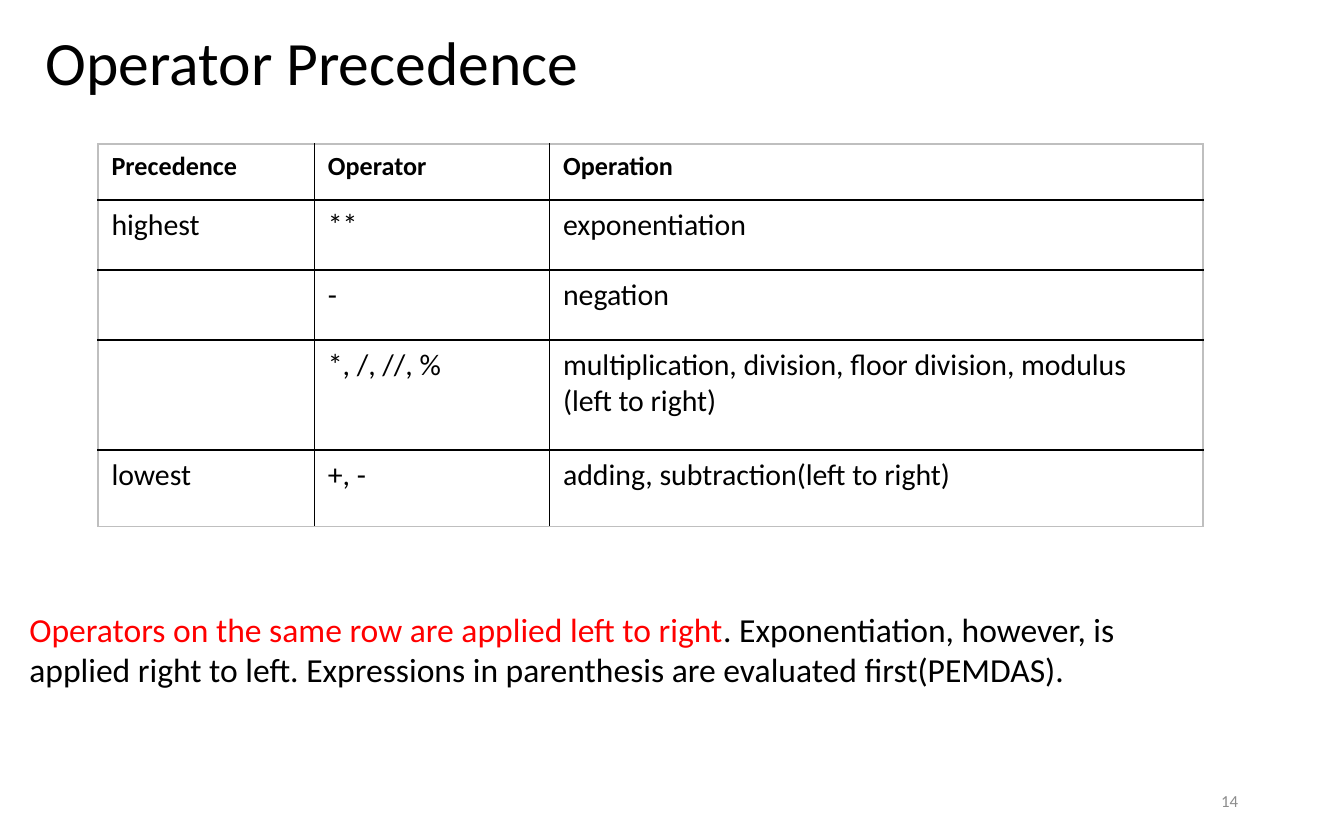
from lxml import etree
from pptx import Presentation
from pptx.dml.color import RGBColor
from pptx.enum import text
from pptx.oxml import ns
from pptx.util import Inches, Pt

WIDTH, HEIGHT = Inches(10), Inches(6.25)
COLUMNS, ROWS = 100, 62.5
COLORS = {"ink": "000000", "paper": "FFFFFF", "accent": "FF0000", "muted": "8C8C8C", "frame": "BFBFBF"}
FONT = "Calibri"
COLUMN_WIDTHS = [16.1, 17.5, 48.6]
ROW_HEIGHTS = [4.2, 5.2, 5.2, 8.2, 5.7]
PRECEDENCE = [
    ["Precedence", "Operator", "Operation"],
    ["highest", "**", "exponentiation"],
    ["", "-", "negation"],
    ["", "*, /, //, %", "multiplication, division, floor division, modulus\n(left to right)"],
    ["lowest", "+, -", "adding, subtraction(left to right)"],
]
RULE = [
    [("Operators on the same row are applied left to right", "accent"), (". Exponentiation, however, is", "ink")],
    [("applied right to left. Expressions in parenthesis are evaluated first(PEMDAS).", "ink")],
]


def across(columns):
    return round(WIDTH * columns / COLUMNS)


def down(rows):
    return round(HEIGHT * rows / ROWS)


def place(box):
    left, top, width, height = box
    return across(left), down(top), across(width), down(height)


def apply(target, values):
    for name, value in values.items():
        setattr(target, name, value)


def write(frame, paragraphs, size, bold=False, **layout):
    for index, spans in enumerate(paragraphs):
        para = frame.paragraphs[0] if index == 0 else frame.add_paragraph()
        apply(para, layout)
        for words, color in spans:
            span = para.add_run()
            span.text = words
            apply(span.font, {"name": FONT, "size": Pt(size), "bold": bold})
            span.font.color.rgb = RGBColor.from_string(COLORS[color])


def add_title(page, box):
    title = page.shapes.title
    apply(title, dict(zip(("left", "top", "width", "height"), place(box))))
    apply(title.text_frame, {"word_wrap": True, "vertical_anchor": text.MSO_ANCHOR.MIDDLE})
    write(title.text_frame, [[("Operator Precedence", "ink")]], 33,
          alignment=text.PP_ALIGN.LEFT, line_spacing=0.9)


def add_border(cell, side, color):
    line = etree.SubElement(cell._tc.get_or_add_tcPr(), ns.qn(f"a:ln{side}"), w=str(Pt(1)))
    fill = etree.SubElement(line, ns.qn("a:solidFill"))
    etree.SubElement(fill, ns.qn("a:srgbClr"), val=COLORS[color])


def add_precedence_table(page, box):
    table = page.shapes.add_table(len(ROW_HEIGHTS), len(COLUMN_WIDTHS), *place(box)).table
    apply(table, {"first_row": False, "horz_banding": False})
    for column, width in zip(table.columns, COLUMN_WIDTHS):
        column.width = across(width)
    last_row, last_column = len(ROW_HEIGHTS) - 1, len(COLUMN_WIDTHS) - 1
    for row, labels in enumerate(PRECEDENCE):
        table.rows[row].height = down(ROW_HEIGHTS[row])
        for column, label in enumerate(labels):
            cell = table.cell(row, column)
            outer = {"L": column == 0, "R": column == last_column, "T": row == 0, "B": row == last_row}
            for side, is_outer in outer.items():
                add_border(cell, side, "frame" if is_outer else "ink")
            cell.fill.solid()
            cell.fill.fore_color.rgb = RGBColor.from_string(COLORS["paper"])
            if label:
                lines = [[(line, "ink")] for line in label.split("\n")]
                write(cell.text_frame, lines, 14 if row == 0 else 16, bold=row == 0)


def add_text(page, box, paragraphs, size, anchor, align):
    frame = page.shapes.add_textbox(*place(box)).text_frame
    apply(frame, {"word_wrap": True, "vertical_anchor": anchor})
    write(frame, paragraphs, size, alignment=align)


def main():
    deck = Presentation()
    apply(deck, {"slide_width": WIDTH, "slide_height": HEIGHT})
    page = deck.slides.add_slide(deck.slide_layouts.get_by_name("Title Only"))
    add_precedence_table(page, (7.3, 10.7, sum(COLUMN_WIDTHS), sum(ROW_HEIGHTS)))
    add_title(page, (2.4, 1.1, 77.1, 7.5))
    add_text(page, (1.2, 44.8, 92.7, 7.1), RULE, 18, text.MSO_ANCHOR.TOP, text.PP_ALIGN.LEFT)
    add_text(page, (70.6, 57.9, 22.5, 3.3), [[("14", "muted")]], 9,
             text.MSO_ANCHOR.MIDDLE, text.PP_ALIGN.RIGHT)
    deck.save("out.pptx")


if __name__ == "__main__":
    main()
